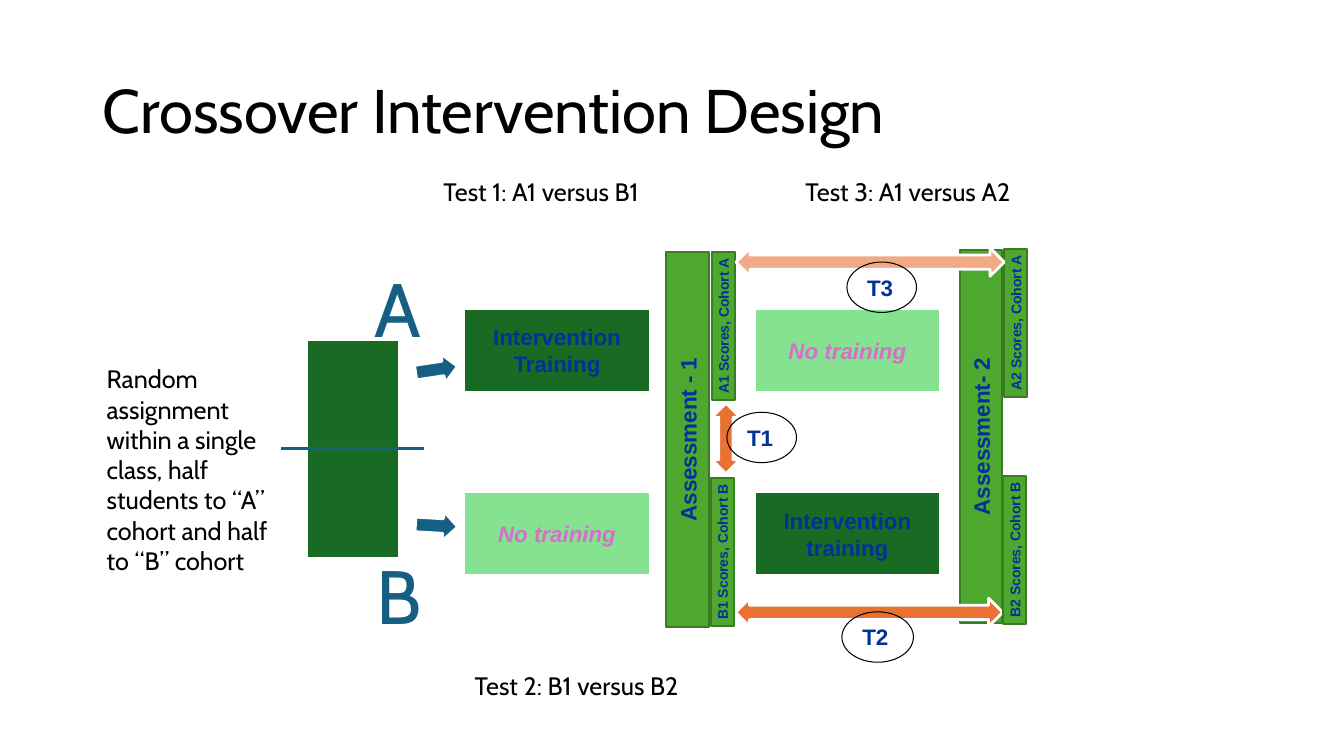
"""Build the crossover intervention design slide."""
import pptx
import pptx.util
import pptx.dml.color
import pptx.enum.shapes
import pptx.enum.text
import pptx.oxml

PX = 9144
SHAPE = pptx.enum.shapes.MSO_SHAPE
ALIGN = pptx.enum.text.PP_ALIGN
ANCHOR = pptx.enum.text.MSO_ANCHOR

DARK, PALE, GREEN, EDGE = "196B24", "84E291", "4EA72E", "3A7C22"
BLUE, NAVY, PINK = "156082", "003399", "D86ECC"
ORANGE, PEACH = "E97132", "F2AA84"
WHITE, BLACK = "FFFFFF", "000000"

TITLE = ("Crossover Intervention Design", 92, 40, 1150, 145)
NOTES = [
    ("Random assignment within a single class, half students to “A” cohort"
     " and half to “B” cohort", 96, 356, 200, 222),
    ("Test 1: A1 versus B1", 430, 170, 347, 40),
    ("Test 2: B1 versus B2", 461, 660, 576, 40),
    ("Test 3: A1 versus A2", 789, 170, 308, 40),
]
COHORTS = [("A", 362, 255, 64, 101), ("B", 364, 540, 61, 101)]
CLASS = (304, 337, 92, 217)
SPLIT = (279, 445, 421, 445)
STARTS = [(412, 352, 42, 29, -8.5), (412, 507, 42, 29, 3.3)]
COLS, ROWS, CELL = (460, 748), (306, 488), (185, 83)
PHASES = [
    ["Intervention Training", "No training"],
    ["No training", "Intervention training"],
]
EXAMS = [("Assessment - 1", 661, 250, 42, 372),
         ("Assessment- 2", 952, 248, 42, 370)]
SCORES = [
    ("A1 Scores, Cohort A", 706, 250, 23, 147),
    ("B1 Scores, Cohort B", 705, 474, 23, 147),
    ("A2 Scores, Cohort A", 996, 247, 23, 147),
    ("B2 Scores, Cohort B", 995, 472, 23, 147),
]
T1 = ("T1", ORANGE, (706, 400, 28, 70, 0), (721, 409, 69, 50))
T2 = ("T2", ORANGE, (848, 475, 28, 265, 270), (835, 607, 71, 50))
T3 = ("T3", PEACH, (849, 127, 28, 266, 270), (840, 260, 69, 50))

deck = pptx.Presentation()
deck.slide_width, deck.slide_height = 1333 * PX, 750 * PX
slide = deck.slides.add_slide(deck.slide_layouts[6])


def color(code):
    """Turn a hex string into a colour."""
    return pptx.dml.color.RGBColor.from_string(code)


def write(item, text, size, code, face="Arial", bold=True, slant=False,
          align=ALIGN.CENTER, anchor=ANCHOR.MIDDLE, wrap=True):
    """Put one styled paragraph in a shape."""
    frame = item.text_frame
    frame.text = text
    frame.word_wrap = wrap
    frame.vertical_anchor = anchor
    para = frame.paragraphs[0]
    para.alignment = align
    font = para.runs[0].font
    font.size, font.name = pptx.util.Pt(size), face
    font.bold, font.italic = bold, slant
    font.color.rgb = color(code)
    return para


def label(text, x, y, w, h, size=18, code=BLACK, **style):
    """Add a plain text box."""
    box = slide.shapes.add_textbox(x * PX, y * PX, w * PX, h * PX)
    look = {"align": ALIGN.LEFT, "anchor": ANCHOR.TOP, **style}
    return write(box, text, size, code, "Cabin", False, **look)


def draw(kind, x, y, w, h, turn=0, fill=None, line=WHITE, width=2):
    """Add a preset shape."""
    item = slide.shapes.add_shape(kind, x * PX, y * PX, w * PX, h * PX)
    item.shadow.inherit = False
    item.rotation = turn
    if fill:
        item.fill.solid()
        item.fill.fore_color.rgb = color(fill)
    else:
        item.fill.background()
    item.line.color.rgb = color(line)
    item.line.width = pptx.util.Pt(width)
    return item


def bar(text, x, y, w, h, size):
    """Add a green bar with upward text."""
    item = draw(SHAPE.RECTANGLE, x, y, w, h, fill=GREEN, line=EDGE, width=1.5)
    write(item, text, size, NAVY)
    frame = item.text_frame
    frame.margin_left = frame.margin_right = 0
    frame.margin_top = frame.margin_bottom = 0
    frame._txBody.bodyPr.set("vert", "vert270")


def arrow(test):
    """Add the two-headed arrow of a test."""
    draw(SHAPE.UP_DOWN_ARROW, *test[2], fill=test[1])


def oval(test):
    """Add the ringed name of a test."""
    ring = draw(SHAPE.OVAL, *test[3], line=BLACK, width=0.75)
    write(ring, test[0], 16, NAVY, align=ALIGN.LEFT)


draw(SHAPE.RECTANGLE, *CLASS, fill=DARK)
for y, row in zip(ROWS, PHASES):
    for x, text in zip(COLS, row):
        idle = text == "No training"
        cell = draw(SHAPE.RECTANGLE, x, y, *CELL, fill=PALE if idle else DARK)
        write(cell, text, 16, PINK if idle else NAVY, slant=idle)
for start in STARTS:
    draw(SHAPE.RIGHT_ARROW, *start, fill=BLUE)

split = slide.shapes.add_connector(
    pptx.enum.shapes.MSO_CONNECTOR.STRAIGHT, *[n * PX for n in SPLIT])
split.line.color.rgb = color(BLUE)
split.line.width = pptx.util.Pt(2)
split._element.spPr.append(pptx.oxml.parse_xml(
    '<a:effectLst xmlns:a='
    '"http://schemas.openxmlformats.org/drawingml/2006/main"/>'))

for cohort in COHORTS:
    label(*cohort, size=54, code=BLUE, align=ALIGN.CENTER, wrap=False)
for note in NOTES:
    label(*note)
for exam in EXAMS:
    bar(*exam, size=16)
for test in (T1, T2):
    arrow(test)
    oval(test)
for score in SCORES:
    bar(*score, size=10)
arrow(T3)
oval(T3)
label(*TITLE, size=44, anchor=ANCHOR.MIDDLE).line_spacing = 0.9

deck.save("out.pptx")
